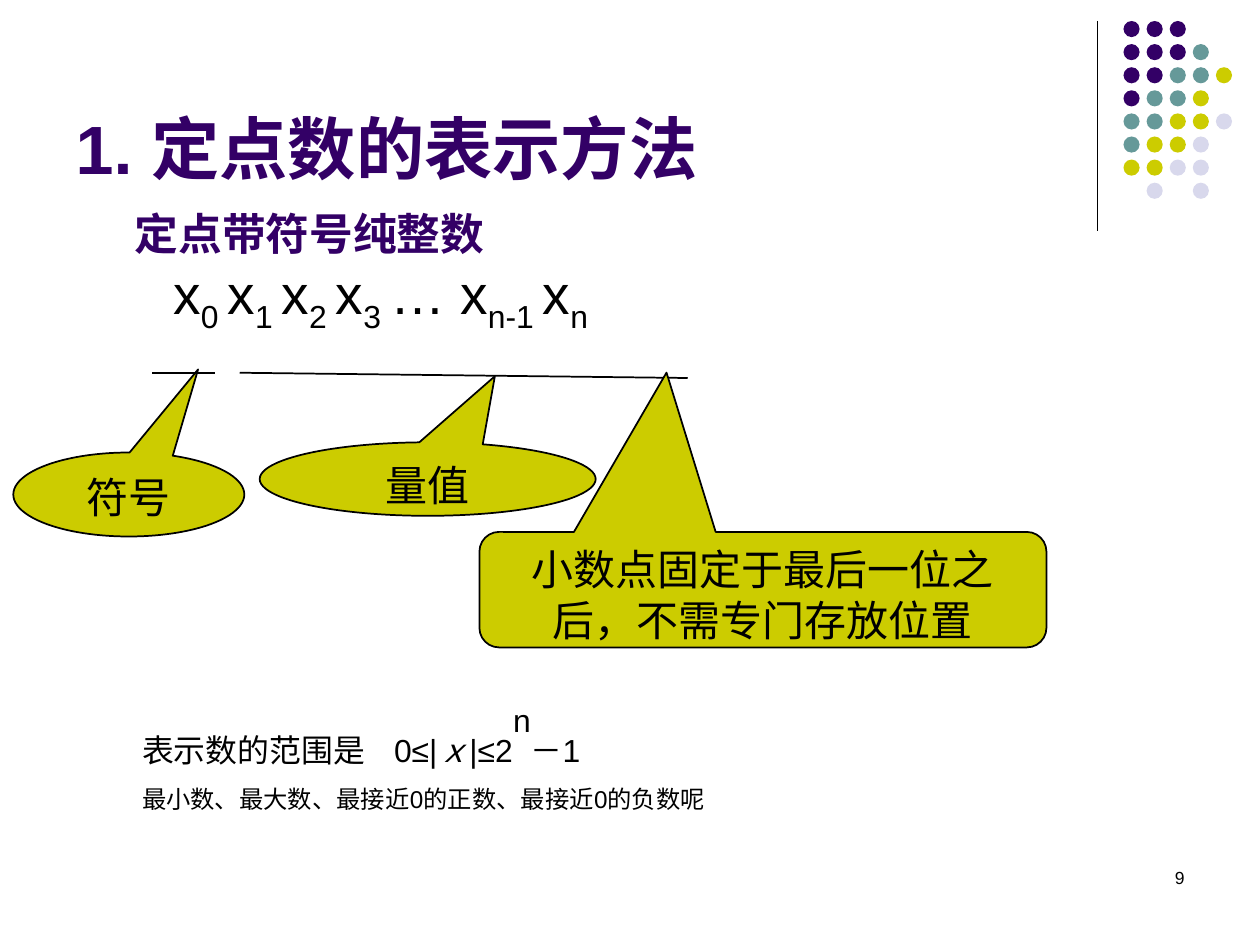
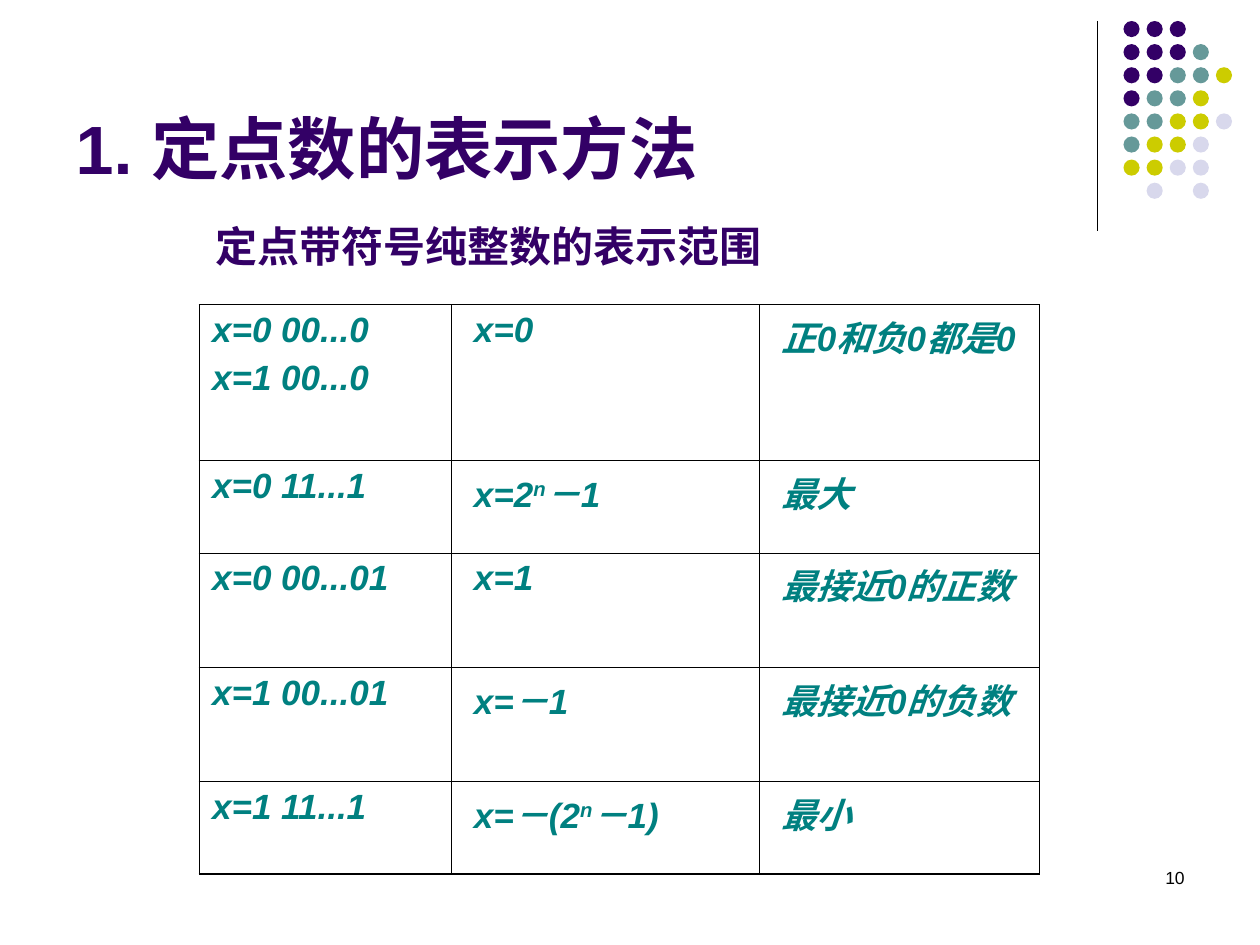
from lxml import etree
from pptx import Presentation
from pptx.dml.color import RGBColor
from pptx.enum.shapes import MSO_CONNECTOR, MSO_SHAPE
from pptx.enum.text import MSO_ANCHOR, MSO_AUTO_SIZE, PP_ALIGN
from pptx.oxml.ns import qn
from pptx.util import Pt

STRAIGHT = MSO_CONNECTOR.STRAIGHT
OVAL = MSO_SHAPE.OVAL
OVAL_CALLOUT = MSO_SHAPE.OVAL_CALLOUT
ROUND_CALLOUT = MSO_SHAPE.ROUNDED_RECTANGULAR_CALLOUT
TOP, BOTTOM = MSO_ANCHOR.TOP, MSO_ANCHOR.BOTTOM
LEFT, CENTER, RIGHT = PP_ALIGN.LEFT, PP_ALIGN.CENTER, PP_ALIGN.RIGHT
NO_AUTOFIT = MSO_AUTO_SIZE.NONE

COLORS = {
    "purple": "330066",
    "teal": "669999",
    "olive": "CCCC00",
    "lavender": "D8D8EC",
    "black": "000000",
    "table_text": "008080",
}
DOT_COLORS = {"P": "purple", "T": "teal", "O": "olive", "L": "lavender"}
DOT_ROWS = ["PPP", "PPPT", "PPTTO", "PTTO", "TTOOL", "TOOL", "OOLL", " L L"]


def add_run(paragraph, text, size, color, bold=False, italic=False, baseline=0, font="Arial"):
    run = paragraph.add_run()
    run.text = text
    run.font.size = Pt(size)
    run.font.name = font
    run.font.bold = bold
    run.font.italic = italic
    run.font.color.rgb = RGBColor.from_string(COLORS[color])
    if baseline:
        run.font._element.set("baseline", str(baseline * 1000))


def add_line(slide, x1, y1, x2, y2, width):
    line = slide.shapes.add_connector(STRAIGHT, Pt(x1), Pt(y1), Pt(x2), Pt(y2))
    line.line.color.rgb = RGBColor.from_string(COLORS["black"])
    line.line.width = Pt(width)
    etree.SubElement(line._element.spPr, qn("a:effectLst"))


presentation = Presentation()
presentation.slide_width = Pt(720)
presentation.slide_height = Pt(540)

for number in (9, 10):
    slide = presentation.slides.add_slide(presentation.slide_layouts[5])
    add_line(slide, 627, 12, 627, 132, 0.75)
    for row, letters in enumerate(DOT_ROWS):
        for column, letter in enumerate(letters):
            if letter == " ":
                continue
            dot = slide.shapes.add_shape(
                OVAL, Pt(642 + 13.2 * column), Pt(12 + 13.2 * row), Pt(9.2), Pt(9.2))
            dot.shadow.inherit = False
            dot.fill.solid()
            dot.fill.fore_color.rgb = RGBColor.from_string(COLORS[DOT_COLORS[letter]])
            dot.line.fill.background()

    title = slide.shapes.title
    title.left, title.top, title.width, title.height = Pt(36), Pt(9.4), Pt(594), Pt(102)
    title.text_frame.vertical_anchor = BOTTOM
    title.text_frame.auto_size = NO_AUTOFIT
    title.text_frame.paragraphs[0].alignment = LEFT
    add_run(title.text_frame.paragraphs[0], "1. 定点数的表示方法", 39, "purple", bold=True)

    number_box = slide.shapes.add_textbox(Pt(516), Pt(492), Pt(168), Pt(36))
    number_box.text_frame.word_wrap = True
    number_box.text_frame.paragraphs[0].alignment = RIGHT
    add_run(number_box.text_frame.paragraphs[0], str(number), 10, "black")

format_slide, range_slide = presentation.slides

body = format_slide.shapes.add_textbox(Pt(19.4), Pt(122.6), Pt(612), Pt(354))
body.text_frame.word_wrap = True
body_paragraphs = [
    (50.5, 0, [("定点带符号纯整数", 0)], 25),
    (72.6, 8.5, [("x", 0), ("0 ", -25), ("x", 0), ("1 ", -25), ("x", 0), ("2 ", -25),
                 ("x", 0), ("3 ", -25), ("… x", 0), ("n-1 ", -25), ("x", 0), ("n", -25)], 31.4),
    (54.7, 218.2, [("表示数的范围是\t0≤|", -25), ("ｘ", -25), ("|≤2", -25),
                   ("n", 30), ("－1", -25)], 31.4),
    (54.7, 18.6, [("最小数、最大数、最接近0的正数、最接近0的负数呢", 0)], 13.9),
]
for index, (margin, space, runs, size) in enumerate(body_paragraphs):
    paragraph = body.text_frame.paragraphs[0] if index == 0 else body.text_frame.add_paragraph()
    paragraph.line_spacing = 0.7
    paragraph.space_before = Pt(space)
    properties = paragraph._p.get_or_add_pPr()
    properties.set("marL", str(Pt(margin)))
    properties.set("indent", "0")
    if "\t" in runs[0][0]:
        tabs = etree.SubElement(properties, qn("a:tabLst"))
        etree.SubElement(tabs, qn("a:tab"), pos=str(Pt(206.5)), algn="l")
    for text, baseline in runs:
        add_run(paragraph, text, size, "purple" if index == 0 else "black",
                bold=index == 0, italic=text == "ｘ", baseline=baseline)

add_line(format_slide, 87, 213, 123, 213, 1)
add_line(format_slide, 137, 213, 393, 216, 1)

callouts = [
    (OVAL_CALLOUT, 7.6, 258.6, 132, 48, (0.3, -1.49), "符号"),
    (OVAL_CALLOUT, 148.4, 252.8, 192, 42, (0.2, -1.4), "量值"),
    (ROUND_CALLOUT, 274, 304, 324, 66, (-0.17, -1.88, 0.17),
     "小数点固定于最后一位之后，不需专门存放位置"),
]
for kind, left, top, width, height, adjustments, text in callouts:
    callout = format_slide.shapes.add_shape(kind, Pt(left), Pt(top), Pt(width), Pt(height))
    for index, value in enumerate(adjustments):
        callout.adjustments[index] = value
    callout.shadow.inherit = False
    callout.fill.solid()
    callout.fill.fore_color.rgb = RGBColor.from_string(COLORS["olive"])
    callout.line.color.rgb = RGBColor.from_string(COLORS["black"])
    callout.line.width = Pt(1)
    callout.text_frame.word_wrap = True
    callout.text_frame.margin_left = callout.text_frame.margin_right = Pt(18)
    callout.text_frame.vertical_anchor = TOP
    callout.text_frame.paragraphs[0].alignment = CENTER
    add_run(callout.text_frame.paragraphs[0], text, 24, "black", font="Times New Roman")

subtitle = range_slide.shapes.add_textbox(Pt(116), Pt(122.6), Pt(400), Pt(36))
subtitle.text_frame.word_wrap = True
add_run(subtitle.text_frame.paragraphs[0], "定点带符号纯整数的表示范围", 24, "purple", bold=True)

range_rows = [
    (89, ["x=0 00...0", "x=1 00...0"], [("x=0", 0)], "正0和负0都是0"),
    (53, ["x=0 11...1"], [("x=2", 0), ("n", 30), ("－1", 0)], "最大"),
    (65.2, ["x=0 00...01"], [("x=1", 0)], "最接近0的正数"),
    (65.2, ["x=1 00...01"], [("x=－1", 0)], "最接近0的负数"),
    (53, ["x=1 11...1"], [("x=－(2", 0), ("n", 30), ("－1)", 0)], "最小"),
]
table_height = sum(row[0] for row in range_rows)
table = range_slide.shapes.add_table(
    5, 3, Pt(114), Pt(174), Pt(480), Pt(table_height)).table
table.first_row = False
table.horz_banding = False
for column, width in zip(table.columns, (144, 176, 160)):
    column.width = Pt(width)

for row_index, (height, codes, value_runs, meaning) in enumerate(range_rows):
    table.rows[row_index].height = Pt(height)
    row_cells = [[[(code, 0)] for code in codes], [value_runs], [[(meaning, 0)]]]
    for column_index, lines in enumerate(row_cells):
        cell = table.cell(row_index, column_index)
        cell.fill.background()
        thick_sides = {"L": column_index == 0, "R": column_index == 2,
                       "T": False, "B": row_index == 4}
        for position, (side, thick) in enumerate(thick_sides.items()):
            border = etree.Element(qn("a:ln" + side), w=str(Pt(1.08 if thick else 0.45)))
            fill = etree.SubElement(border, qn("a:solidFill"))
            etree.SubElement(fill, qn("a:srgbClr"), val=COLORS["black"])
            cell._tc.get_or_add_tcPr().insert(position, border)
        for line_index, runs in enumerate(lines):
            if line_index == 0:
                paragraph = cell.text_frame.paragraphs[0]
            else:
                paragraph = cell.text_frame.add_paragraph()
                paragraph.space_before = Pt(5)
            if column_index > 0:
                paragraph._p.get_or_add_pPr().set("indent", str(Pt(5.6)))
            for text, baseline in runs:
                add_run(paragraph, text, 20, "table_text", bold=True, italic=True, baseline=baseline)

presentation.save("out.pptx")
